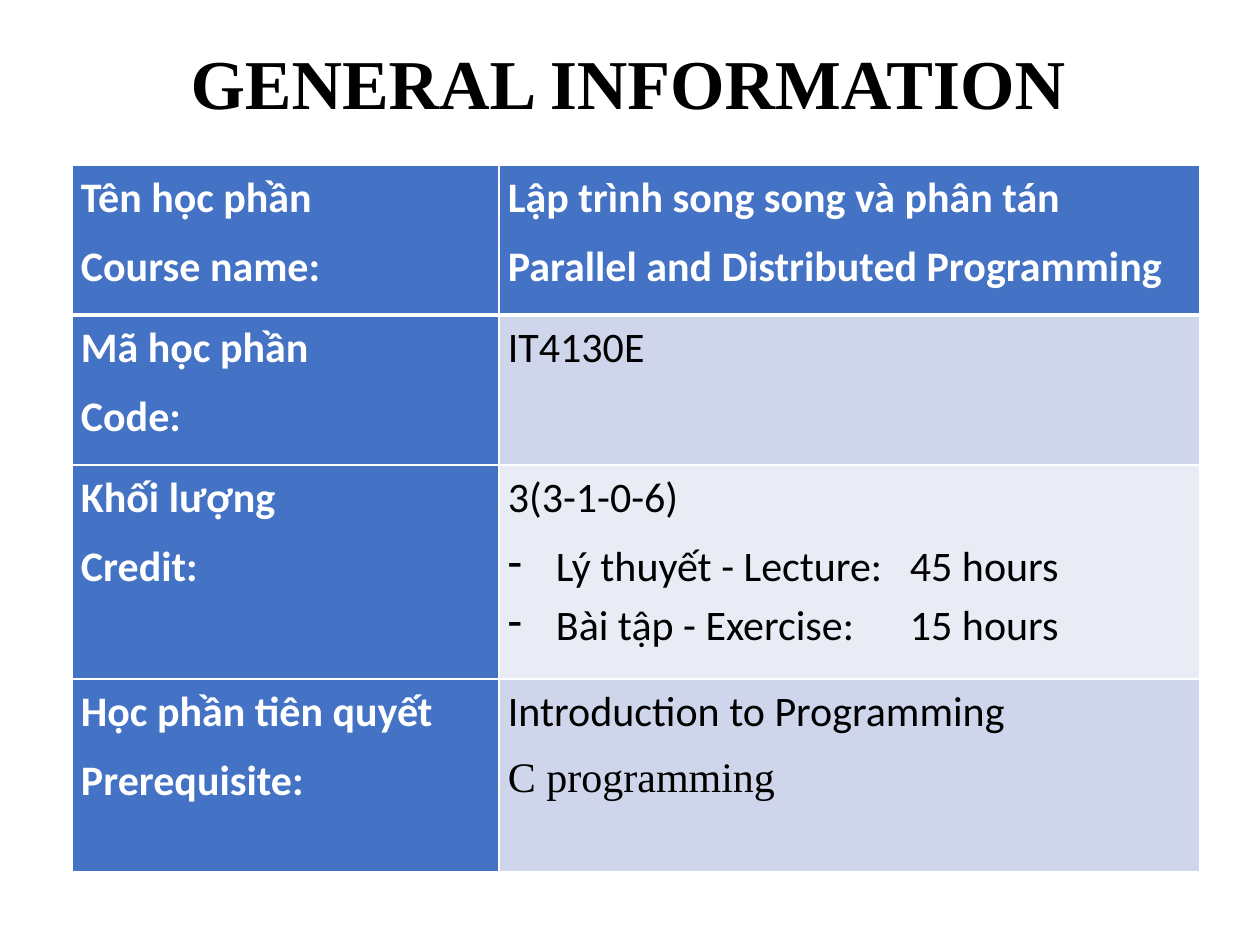
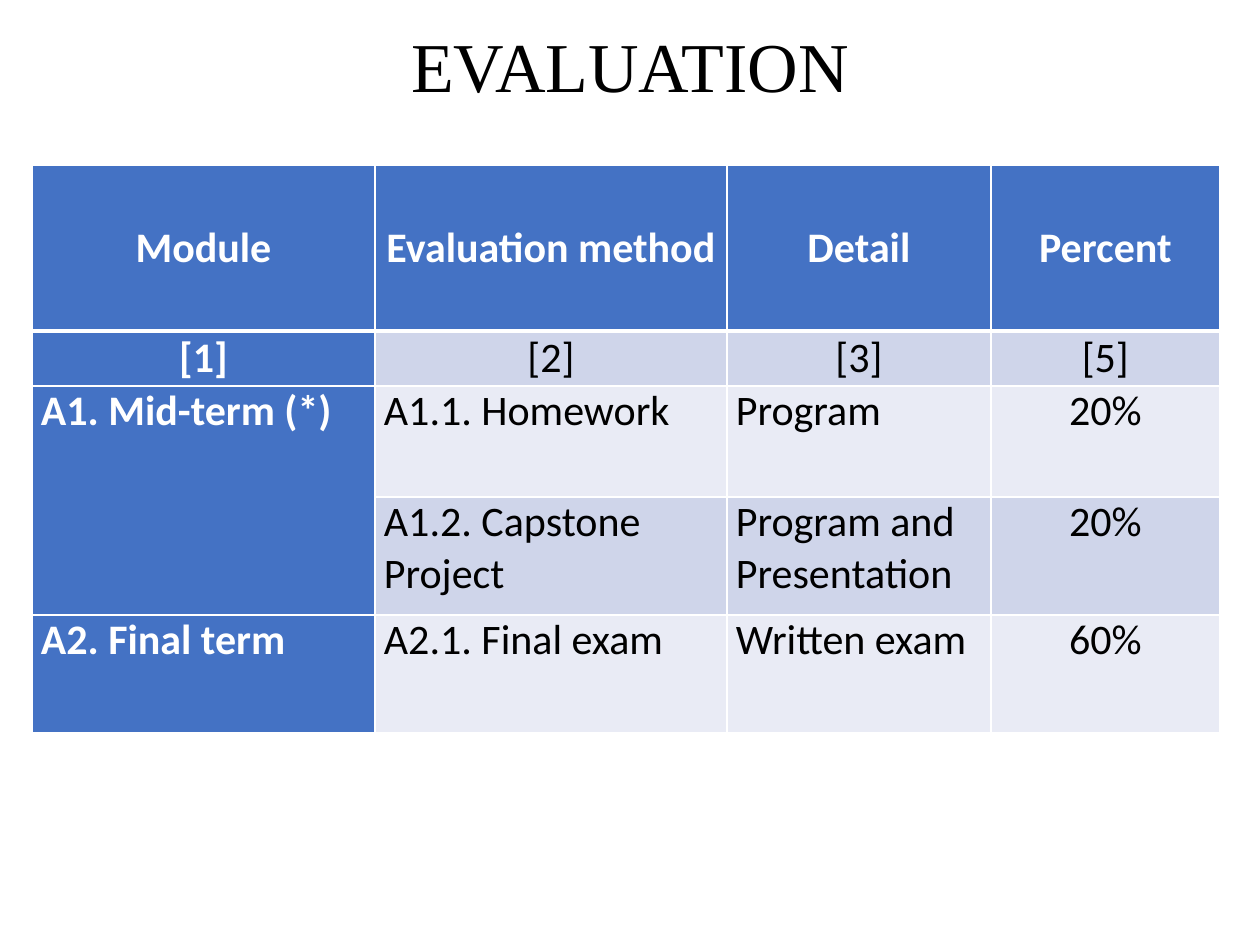
from lxml.etree import SubElement
from pptx import Presentation
from pptx.dml.color import RGBColor
from pptx.enum.text import MSO_ANCHOR, PP_ALIGN
from pptx.oxml.ns import qn
from pptx.util import Emu, Pt

PX_PER_INCH = 126
BODY_FONT, TITLE_FONT = "Calibri", "Times New Roman"
WHITE, BLACK = "FFFFFF", "000000"
LABEL_FILL = "4472C4"
BAND_FILLS = ("E9EBF5", "CFD5EA")
TABLE_TOP = 165

COURSE_ROWS = [
    ["Tên học phần\nCourse name:",
     "Lập trình song song và phân tán\nParallel and Distributed Programming"],
    ["Mã học phần\nCode:", "IT4130E"],
    ["Khối lượng\nCredit:", "3(3-1-0-6)"],
    ["Học phần tiên quyết\nPrerequisite:", "Introduction to Programming\nC programming"],
]
CREDIT_HOURS = ["Lý thuyết - Lecture:\t45 hours", "Bài tập - Exercise:\t15 hours"]

EVALUATION_ROWS = [
    ["Module", "Evaluation method", "Detail", "Percent"],
    ["[1]", "[2]", "[3]", "[5]"],
    ["A1. Mid-term (*)", "A1.1. Homework", "Program", "20%"],
    ["", "A1.2. Capstone Project", "Program and Presentation", "20%"],
    ["A2. Final term", "A2.1. Final exam", "Written exam", "60%"],
]


def px(length):
    return Emu(round(length * 914400 / PX_PER_INCH))


def color(hex_value):
    return RGBColor.from_string(hex_value)


def style_font(para, name, size, hex_value, bold):
    font = para.font
    font.name, font.size, font.bold = name, Pt(size), bold
    font.color.rgb = color(hex_value)


def add_title(page, text, left, top, width, bold=False):
    box = page.shapes.add_textbox(px(left), px(top), px(width), px(98))
    frame = box.text_frame
    frame.word_wrap = True
    frame.vertical_anchor = MSO_ANCHOR.MIDDLE
    para = frame.paragraphs[0]
    para.text = text
    para.alignment = PP_ALIGN.CENTER
    para.line_spacing = 0.9
    style_font(para, TITLE_FONT, 40, BLACK, bold)


def set_borders(cell, row):
    """Draw white rules, with a thick one under the header row."""
    properties = cell._tc.get_or_add_tcPr()
    widths = {"lnL": 1, "lnR": 1, "lnT": 3 if row == 1 else 1, "lnB": 3 if row == 0 else 1}
    for tag, width in widths.items():
        line = SubElement(properties, qn(f"a:{tag}"), w=str(Pt(width)))
        fill = SubElement(line, qn("a:solidFill"))
        SubElement(fill, qn("a:srgbClr"), val=WHITE)


def fill_cell(cell, text, row, is_label, line_spacing, gap):
    set_borders(cell, row)
    cell.fill.solid()
    cell.fill.fore_color.rgb = color(LABEL_FILL if is_label else BAND_FILLS[row % 2])
    cell.margin_left = cell.margin_right = px(9)
    cell.margin_top = cell.margin_bottom = 0
    cell.text = text
    for para in cell.text_frame.paragraphs:
        para.line_spacing = line_spacing
        para.space_before = para.space_after = Pt(gap)
        style_font(para, BODY_FONT, 24, WHITE if is_label else BLACK, is_label)


def add_grid(page, left, columns, heights, rows, line_spacing=1.0, tight_rows=()):
    frame = page.shapes.add_table(len(heights), len(columns), px(left), px(TABLE_TOP),
                                  px(sum(columns)), px(sum(heights)))
    table = frame.table
    table.horz_banding = False
    for column, width in zip(table.columns, columns):
        column.width = px(width)
    for row, (height, texts) in enumerate(zip(heights, rows)):
        table.rows[row].height = px(height)
        gap = 0 if row in tight_rows else 3
        for column, text in enumerate(texts):
            is_label = row == 0 or column == 0
            fill_cell(table.cell(row, column), text, row, is_label, line_spacing, gap)
    return table


def add_dash_items(cell, items, line_spacing, indent, tab):
    """Append a dashed list whose second part lines up at the tab."""
    for index, item in enumerate(items):
        para = cell.text_frame.add_paragraph()
        para.text = item
        para.line_spacing = line_spacing
        para.space_before = Pt(3 if index == 0 else 0)
        para.space_after = Pt(3 if index == len(items) - 1 else 0)
        style_font(para, BODY_FONT, 24, BLACK, False)
        properties = para._p.get_or_add_pPr()
        properties.set("marL", str(px(indent)))
        properties.set("indent", str(px(-indent)))
        bullet = properties.makeelement(qn("a:buChar"), {"char": "-"})
        tabs = properties.makeelement(qn("a:tabLst"), {})
        SubElement(tabs, qn("a:tab"), pos=str(px(tab)), algn="l")
        properties.find(qn("a:defRPr")).addprevious(bullet)
        bullet.addnext(tabs)


def center_cells(table, middle_rows, centered_column):
    for row in range(len(table.rows)):
        for column in range(len(table.columns)):
            cell = table.cell(row, column)
            if row in middle_rows:
                cell.vertical_anchor = MSO_ANCHOR.MIDDLE
            if row in middle_rows or column == centered_column:
                cell.text_frame.paragraphs[0].alignment = PP_ALIGN.CENTER


def build_general_information(page):
    add_title(page, "GENERAL INFORMATION", 37, 38, 1182, bold=True)
    table = add_grid(page, 72, [427, 701], [150, 150, 214, 193], COURSE_ROWS,
                     line_spacing=1.15)
    add_dash_items(table.cell(2, 1), CREDIT_HOURS, 1.15, indent=48, tab=402)
    table.cell(3, 1).text_frame.paragraphs[1].font.name = TITLE_FONT


def build_evaluation(page):
    add_title(page, "EVALUATION", 63, 21, 1134)
    table = add_grid(page, 32, [343, 352, 264, 229], [166, 55, 111, 118, 118],
                     EVALUATION_ROWS, tight_rows=(1,))
    center_cells(table, middle_rows=(0, 1), centered_column=3)
    table.cell(2, 0).merge(table.cell(3, 0))


def main():
    deck = Presentation()
    deck.slide_width, deck.slide_height = px(1260), px(945)
    blank = deck.slide_layouts[6]
    for build in (build_general_information, build_evaluation):
        build(deck.slides.add_slide(blank))
    deck.save("out.pptx")


if __name__ == "__main__":
    main()
